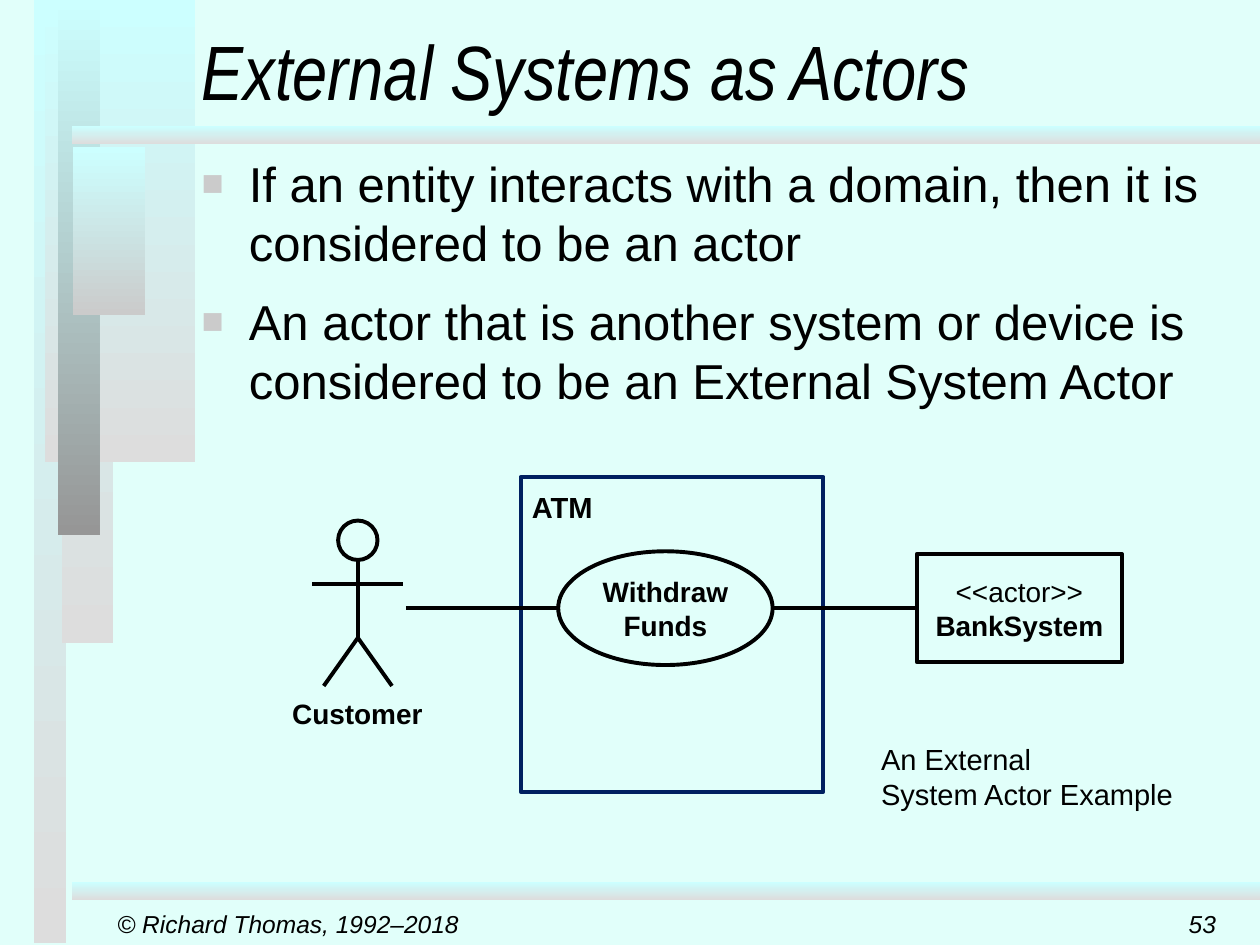
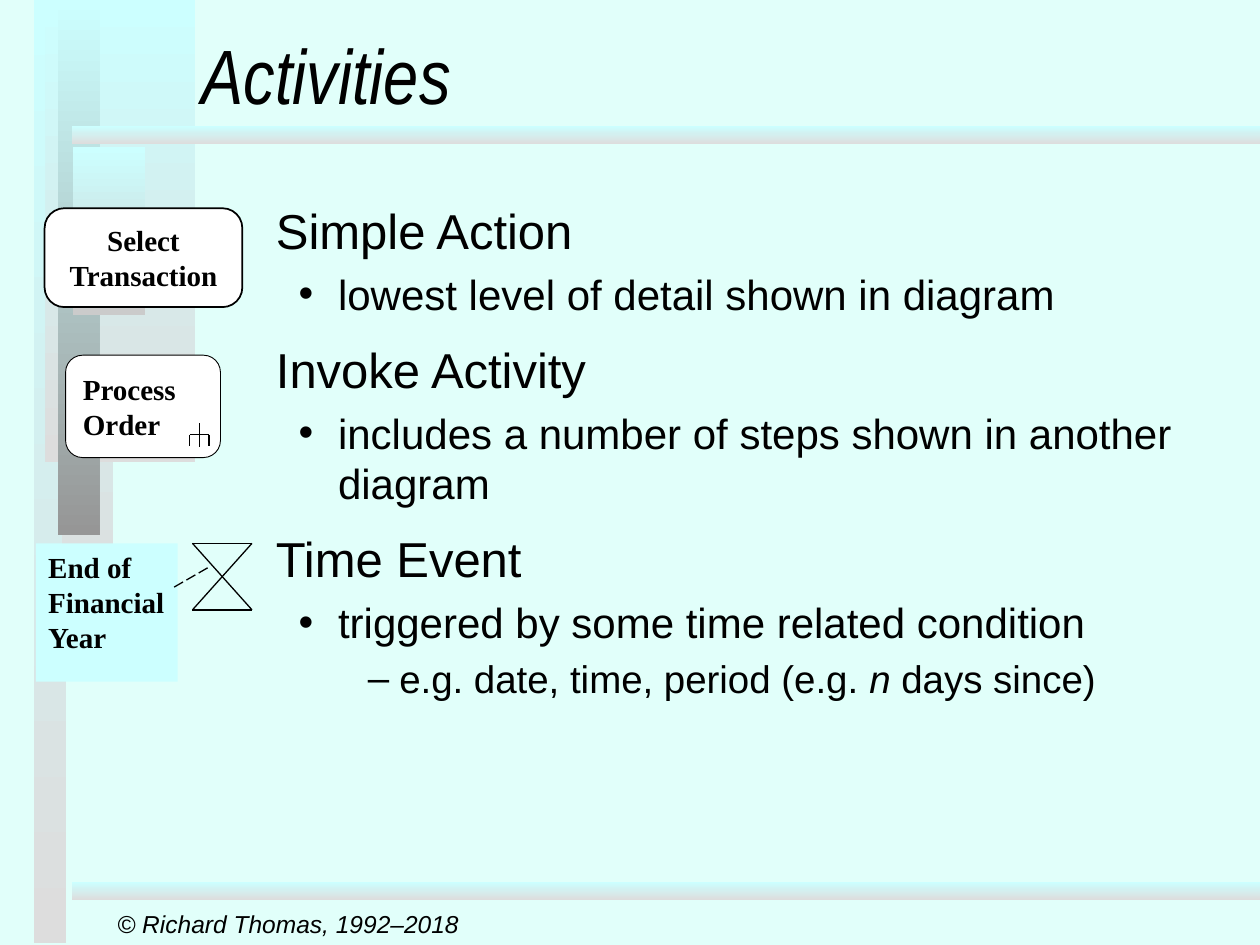
from lxml import etree
from pptx import Presentation
from pptx.dml.color import RGBColor
from pptx.enum import dml, shapes, text
from pptx.oxml import ns
from pptx.util import Pt

BLACK, WHITE, NAVY = "000000", "FFFFFF", "002060"
MINT, CYAN, SILVER, GRAY, DARK = "E1FFFA", "CCFFFF", "DDDDDD", "CBCBCB", "969696"
BANDS = [
    (19.5, 0, 18.5, 539, SILVER),
    (35.5, 0, 29, 367.5, SILVER),
    (26, 0, 85.5, 264, SILVER),
    (33, 0, 24, 306, DARK),
    (41.5, 84, 41.5, 96, GRAY),
    (41, 72, 679, 10.5, SILVER),
    (41, 504, 679, 10.5, SILVER),
]
PLAIN = dict(level=0, left=0, hanging=0, bullet=None, size=28, before=12)
SQUARE = dict(PLAIN, left=27, hanging=27, bullet="■", color=GRAY, percent=75)
DOT = dict(level=1, left=35.5, hanging=22.5, bullet="•", size=24, before=5)
DASH = dict(level=2, left=70.5, hanging=18, bullet="–", size=22, before=4.5)
LEFT, CENTER, RIGHT = text.PP_ALIGN.LEFT, text.PP_ALIGN.CENTER, text.PP_ALIGN.RIGHT
TOP, MIDDLE, BOTTOM = (text.MSO_ANCHOR.TOP, text.MSO_ANCHOR.MIDDLE,
                       text.MSO_ANCHOR.BOTTOM)
KIND = shapes.MSO_SHAPE


def rgb(value):
    """Turn a hex string into a colour."""
    return RGBColor.from_string(value)


class Deck:
    """Hold the shared style and the current slide."""

    def __init__(self):
        """Start a 10 by 7.5 inch presentation."""
        self.presentation = Presentation()
        self.presentation.slide_width = Pt(720)
        self.presentation.slide_height = Pt(540)
        self.slide = None

    def new_slide(self, title, title_box, items, body_box, number=None):
        """Add a slide with bands, title, list and footer."""
        layout = self.presentation.slide_layouts[1]
        self.slide = self.presentation.slides.add_slide(layout)
        fill = self.slide.background.fill
        fill.solid()
        fill.fore_color.rgb = rgb(MINT)
        heading, body = self.slide.placeholders
        for *box, color in BANDS:
            self.band(box, color)
        for placeholder, box in ((heading, title_box), (body, body_box)):
            self.slide.shapes._spTree.append(placeholder._element)
            (placeholder.left, placeholder.top, placeholder.width,
             placeholder.height) = map(Pt, box)
        self.put_text(heading, [title], 44, font="Arial Narrow", italic=True,
                      anchor=BOTTOM, wrap=True)
        self.bullets(body, items)
        self.label(["© Richard Thomas, 1992–2018"], (60, 516, 150, 24), 14,
                   italic=True, anchor=MIDDLE)
        if number:
            self.label([number], (552, 516, 150, 24), 14, italic=True,
                       anchor=MIDDLE, align=RIGHT)

    def band(self, box, color):
        """Add a rectangle that fades downwards from cyan."""
        shape = self.shape(KIND.RECTANGLE, box)
        shape.fill.gradient()
        shape.fill.gradient_angle = 270
        for stop, value in zip(shape.fill.gradient_stops, (CYAN, color)):
            stop.color.rgb = rgb(value)

    def shape(self, kind, box, fill=None, line=None, weight=2.25):
        """Add a preset shape without shadow."""
        shape = self.slide.shapes.add_shape(kind, *map(Pt, box))
        shape.shadow.inherit = False
        if fill:
            shape.fill.solid()
            shape.fill.fore_color.rgb = rgb(fill)
        else:
            shape.fill.background()
        if line:
            shape.line.color.rgb = rgb(line)
            shape.line.width = Pt(weight)
        else:
            shape.line.fill.background()
        return shape

    def line(self, x1, y1, x2, y2, weight=2.25, dash=None):
        """Add a straight black connector without shadow."""
        connector = self.slide.shapes.add_connector(
            shapes.MSO_CONNECTOR.STRAIGHT, *map(Pt, (x1, y1, x2, y2)))
        connector.line.color.rgb = rgb(BLACK)
        connector.line.width = Pt(weight)
        if dash:
            connector.line.dash_style = dash
        etree.SubElement(connector._element.spPr, ns.qn("a:effectLst"))
        return connector

    def frame(self, shape, anchor, wrap, insets):
        """Set how a shape holds its text."""
        frame = shape.text_frame
        frame.auto_size = text.MSO_AUTO_SIZE.NONE
        frame.word_wrap = wrap
        frame.vertical_anchor = anchor
        frame.margin_left = frame.margin_right = Pt(insets[0])
        frame.margin_top = frame.margin_bottom = Pt(insets[1])
        return frame

    def runs(self, paragraph, pieces, size, font="Arial", bold=False, italic=False):
        """Add runs, each a string or a pair of string and font changes."""
        for piece in [pieces] if isinstance(pieces, str) else pieces:
            words, changes = (piece, {}) if isinstance(piece, str) else piece
            run = paragraph.add_run()
            run.text = words
            run.font.name = font
            run.font.size = Pt(size)
            run.font.color.rgb = rgb(BLACK)
            run.font.bold = changes.get("bold", bold)
            run.font.italic = changes.get("italic", italic)

    def put_text(self, shape, lines, size, align=LEFT, anchor=TOP, wrap=False,
                 insets=(7.2, 3.6), **style):
        """Put lines of text into a shape."""
        frame = self.frame(shape, anchor, wrap, insets)
        for index, pieces in enumerate(lines):
            paragraph = frame.add_paragraph() if index else frame.paragraphs[0]
            paragraph.alignment = align
            self.runs(paragraph, pieces, size, **style)

    def label(self, lines, box, size, **style):
        """Add a text box."""
        box = self.slide.shapes.add_textbox(*map(Pt, box))
        self.put_text(box, lines, size, **style)

    def bullets(self, body, items):
        """Fill the body placeholder with list items."""
        frame = self.frame(body, TOP, True, (7.2, 3.6))
        for index, (style, pieces) in enumerate(items):
            paragraph = frame.add_paragraph() if index else frame.paragraphs[0]
            paragraph.level = style["level"]
            paragraph.space_before = Pt(style["before"] if index else 0)
            properties = paragraph._p.get_or_add_pPr()
            properties.set("marL", str(Pt(style["left"])))
            properties.set("indent", str(-Pt(style["hanging"])))
            if style["bullet"]:
                color = etree.SubElement(properties, ns.qn("a:buClr"))
                etree.SubElement(color, ns.qn("a:srgbClr"),
                                 val=style.get("color", BLACK))
                etree.SubElement(properties, ns.qn("a:buSzPct"),
                                 val=str(style.get("percent", 100) * 1000))
                etree.SubElement(properties, ns.qn("a:buFont"), typeface="Arial")
                etree.SubElement(properties, ns.qn("a:buChar"), char=style["bullet"])
            else:
                etree.SubElement(properties, ns.qn("a:buNone"))
            self.runs(paragraph, pieces, style["size"])

    def stick_figure(self, x, top):
        """Draw an actor centred on x."""
        neck, hip, foot = top + 22.5, top + 67, top + 94.5
        self.shape(KIND.OVAL, (x - 11.25, top, 22.5, 22.5), line=BLACK)
        self.line(x, neck, x, hip)
        for side in (-1, 1):
            self.line(x, hip, x + side * 19.5, foot)
        self.line(x - 26, top + 36, x + 26, top + 36)

    def rake(self, x, top):
        """Draw the mark of an invoked activity centred on x."""
        bar = top + 6.5
        self.line(x, top, x, top + 13.5, 0.75)
        self.line(x - 5.5, bar, x + 5.5, bar, 0.75)
        for side in (-1, 1):
            self.line(x + side * 5.5, bar, x + side * 5.5, bar + 6.5, 0.75)

    def hourglass(self, left, top, right, bottom):
        """Draw the mark of a time event."""
        for y, other in ((top, bottom), (bottom, top)):
            self.line(left, y, right, y, 0.75)
            self.line(left, y, right, other, 0.75)


def external_systems(deck):
    """Build the slide on external system actors."""
    deck.new_slide("External Systems as Actors", (108, 0, 587.5, 70), [
        (SQUARE, "If an entity interacts with a domain, then it is "
                 "considered to be an actor"),
        (SQUARE, "An actor that is another system or device is "
                 "considered to be an External System Actor"),
    ], (108, 84, 594, 414), number="53")
    middle = 347.5
    deck.shape(KIND.RECTANGLE, (297.5, 272.5, 173, 180), line=NAVY)
    deck.label(["ATM"], (297.5, 276, 49, 26.5), 16.6, bold=True, insets=(6.5, 3.6))
    use_case = deck.shape(KIND.OVAL, (319, middle - 32.5, 122.5, 65), line=BLACK)
    deck.put_text(use_case, ["Withdraw", "Funds"], 16, align=CENTER, anchor=MIDDLE,
                  bold=True)
    bank = deck.shape(KIND.RECTANGLE, (524, middle - 31, 117, 62), line=BLACK)
    deck.put_text(bank, ["<<actor>>", [("BankSystem", {"bold": True})]], 16,
                  align=CENTER, anchor=MIDDLE)
    deck.line(232, middle, 319, middle)
    deck.line(441.5, middle, 524, middle).end_connect(bank, 1)
    deck.stick_figure(204.5, 297.5)
    deck.label(["Customer"], (160, 394.5, 88.5, 26), 16, align=CENTER, bold=True,
               insets=(6.5, 3.6))
    deck.label(["An External", "System Actor Example"], (497, 420, 182, 47), 16.6,
               insets=(6.5, 3.6))


def activities(deck):
    """Build the slide on kinds of activity."""
    deck.new_slide("Activities", (108, 0, 612, 72), [
        (PLAIN, "Simple Action"),
        (DOT, "lowest level of detail shown in diagram"),
        (PLAIN, "Invoke Activity"),
        (DOT, "includes a number of steps shown in another diagram"),
        (PLAIN, "Time Event"),
        (DOT, "triggered by some time related condition"),
        (DASH, ["e.g. date, time, period (e.g. ", ("n", {"italic": True}),
                " days since)"]),
    ], (150.5, 111, 543.5, 358.5))
    serif = dict(size=16.6, font="Times New Roman", bold=True)
    action = deck.shape(KIND.ROUNDED_RECTANGLE, (25.5, 119, 113, 56.5), WHITE, BLACK, 1)
    action.adjustments[0] = 0.2
    deck.put_text(action, ["Select Transaction"], align=CENTER, anchor=MIDDLE,
                  wrap=True, insets=(6.5, 3), **serif)
    invoke = deck.shape(KIND.FLOWCHART_ALTERNATE_PROCESS, (37.5, 203, 88.5, 58.5),
                        WHITE, BLACK, 0.5)
    deck.put_text(invoke, ["Process Order"], anchor=MIDDLE, wrap=True, **serif)
    deck.rake(114, 242)
    deck.hourglass(110, 310.5, 144, 348.5)
    event = deck.shape(KIND.RECTANGLE, (20.5, 310.5, 81, 79), CYAN)
    deck.put_text(event, ["End of", "Financial", "Year"], **serif)
    deck.line(99.5, 335.5, 119.5, 324, 0.75, dml.MSO_LINE.LONG_DASH)


def main():
    """Build and save both slides."""
    deck = Deck()
    external_systems(deck)
    activities(deck)
    deck.presentation.save("out.pptx")


if __name__ == "__main__":
    main()
